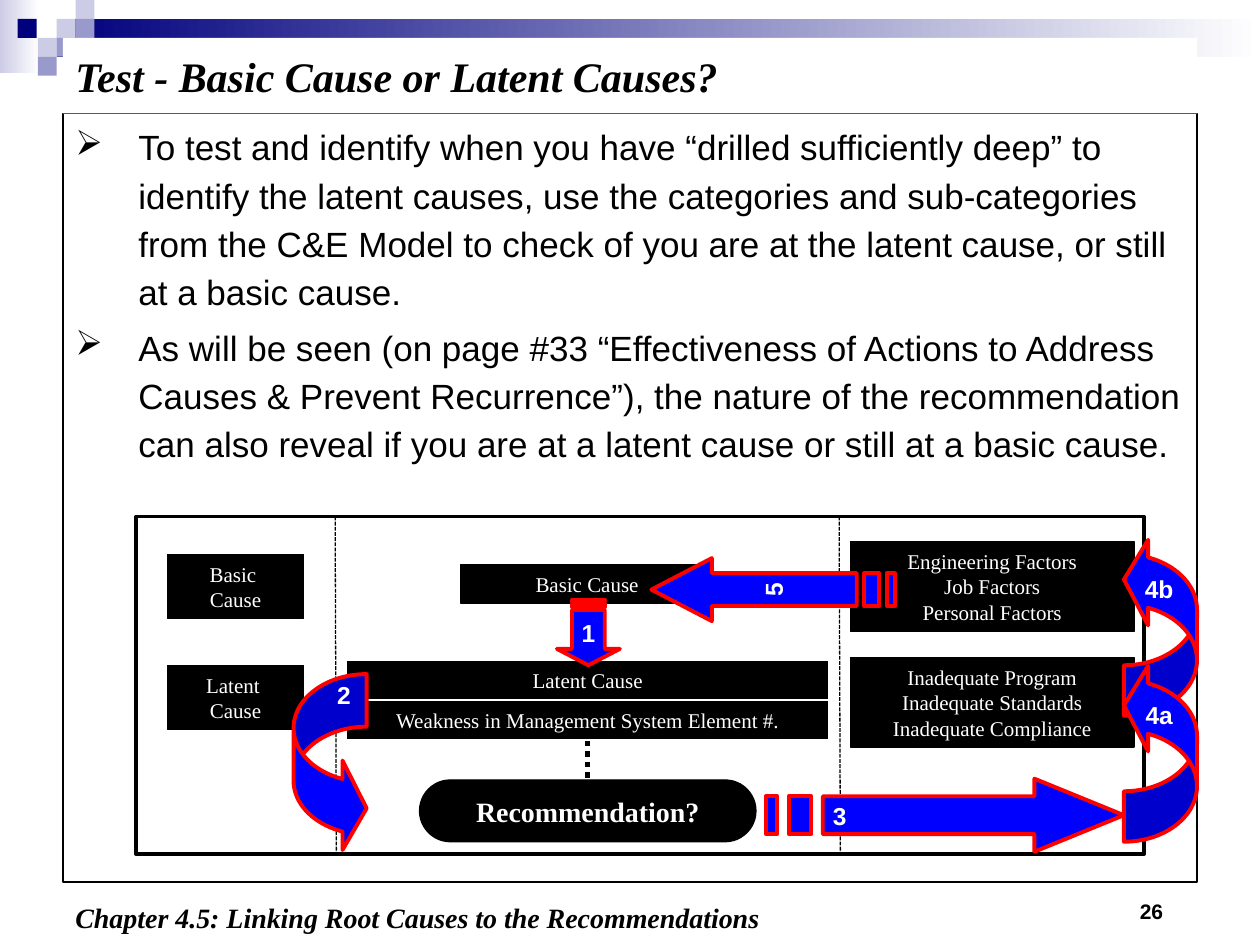
from lxml import etree
from pptx import Presentation
from pptx import util as u
from pptx.dml.color import RGBColor
from pptx.enum import dml, shapes, text
from pptx.oxml import ns

HUES = {"black": "000000", "white": "FFFFFF", "navy": "00007D", "mist": "CCCCE6",
        "mauve": "9999CC", "blue": "0000FF", "red": "FF0000"}
SERIF, SANS = "Times New Roman", "Arial"
KIND = shapes.MSO_SHAPE
SIDE = text.PP_ALIGN
HOLD = text.MSO_ANCHOR
DASH = dml.MSO_LINE


def hue(name):
    return RGBColor.from_string(HUES[name])


class Page:
    """Holds the slide and the look shared by its elements."""

    def __init__(self, slide):
        self.items = slide.shapes

    def paint(self, item, fill, line=None, width=0.75):
        item.shadow.inherit = False
        item.fill.solid()
        item.fill.fore_color.rgb = hue(fill)
        if line:
            item.line.color.rgb = hue(line)
            item.line.width = u.Pt(width)
        else:
            item.line.fill.background()

    def shape(self, at, fill, line=None, width=0.75, kind=KIND.RECTANGLE):
        item = self.items.add_shape(kind, *map(u.Inches, at))
        self.paint(item, fill, line, width)
        return item

    def fade(self, at, start):
        """Add a bar that fades to white from left to right."""
        item = self.shape(at, start)
        item.fill.gradient()
        item.fill.gradient_angle = 0
        for stop, name in zip(item.fill.gradient_stops, (start, "white")):
            stop.color.rgb = hue(name)

    def letter(self, item, words, size, font=SERIF, color="white", side=SIDE.CENTER,
               hold=HOLD.MIDDLE, bold=False, slant=False, wrap=True, pad=None):
        """Set and format the text of an item."""
        frame = item.text_frame
        frame.text = words
        frame.word_wrap = wrap
        frame.vertical_anchor = hold
        if pad:
            (frame.margin_left, frame.margin_top,
             frame.margin_right, frame.margin_bottom) = map(u.Inches, pad)
        for para in frame.paragraphs:
            para.alignment = side
            for run in para.runs:
                face = run.font
                face.name, face.size = font, u.Pt(size)
                face.bold, face.italic = bold, slant
                face.color.rgb = hue(color)
        return frame

    def box(self, at, words, line="black"):
        self.letter(self.shape(at, "black", line), words, 12)

    def label(self, at, words, size, **look):
        self.letter(self.items.add_textbox(*map(u.Inches, at)), words, size, **look)

    def mark(self, item, words, pad=(0, 0, 0, 0), **look):
        """Put the step number on an arrow."""
        self.letter(item, words, 14, font=SANS, bold=True, wrap=False, pad=pad, **look)
        return item

    def line(self, start, end, width, dash=None):
        item = self.items.add_connector(shapes.MSO_CONNECTOR.STRAIGHT,
                                        *map(u.Inches, start + end))
        item.line.color.rgb = hue("black")
        item.line.width = u.Pt(width)
        if dash:
            item.line.dash_style = dash
        etree.SubElement(item._element.spPr, ns.qn("a:effectLst"))

    def arrow(self, tip, back, head, wing, shaft, tail, bars):
        """Draw a striped arrow; lengths run from the tip along the back vector."""
        def spot(run, off):
            return (u.Inches(tip[0] + back[0] * run + back[1] * off),
                    u.Inches(tip[1] + back[1] * run + back[0] * off))

        parts = [[(0, 0), (head, wing), (head, shaft), (tail, shaft),
                  (tail, -shaft), (head, -shaft), (head, -wing)]]
        parts += [[(a, shaft), (b, shaft), (b, -shaft), (a, -shaft)] for a, b in bars]
        pen = self.items.build_freeform(*spot(0, 0))
        for part in parts:
            dots = [spot(*dot) for dot in part]
            if part is not parts[0]:
                pen.move_to(*dots[0])
            pen.add_line_segments(dots[1:], close=True)
        item = pen.convert_to_shape()
        self.paint(item, "blue", "red", 2.25)
        return item

    def curve(self, at, bends, turn=0):
        item = self.shape(at, "blue", "red", 2.25, KIND.CURVED_RIGHT_ARROW)
        for i, bend in enumerate(bends):
            item.adjustments[i] = bend
        item.rotation = turn
        return item

    def bullets(self, frame):
        for para in frame.paragraphs:
            para.line_spacing = 1.15
            para.space_before = u.Pt(4)
            props = para._p.get_or_add_pPr()
            props.set("marL", str(u.Inches(0.5)))
            props.set("indent", str(-u.Inches(0.5)))
            etree.SubElement(props, ns.qn("a:buChar")).set("char", "➢")


def main():
    deck = Presentation()
    deck.slide_width, deck.slide_height = u.Inches(10), u.Inches(7.5)
    page = Page(deck.slides.add_slide(deck.slide_layouts[6]))

    page.fade((0, 0, 0.31, 0.58), "mist")
    page.fade((0.45, 0.15, 9.55, 0.3), "navy")
    for x, y, name in [(0.45, 0.15, "mist"), (0.6, 0, "mist"), (0.6, 0.15, "mauve"),
                       (0.3, 0.3, "mist"), (0.14, 0.15, "navy"), (0.45, 0.3, "mauve"),
                       (0.3, 0.45, "mauve")]:
        page.shape((x, y, 0.15, 0.15), name)

    body = page.shape((0.5, 0.9, 9, 6.1), "white", "black")
    page.bullets(page.letter(
        body,
        "To test and identify when you have “drilled sufficiently deep” to identify the "
        "latent causes, use the categories and sub-categories from the C&E Model to check "
        "of you are at the latent cause, or still at a basic cause.\n"
        "As will be seen (on page #33 “Effectiveness of Actions to Address Causes & Prevent "
        "Recurrence”), the nature of the recommendation can also reveal if you are at a "
        "latent cause or still at a basic cause.",
        20, font=SANS, color="black", side=SIDE.LEFT, hold=HOLD.TOP))

    page.shape((1.08, 4.1, 8, 2.68), "white", "black", 2)
    page.box((3.66, 4.48, 2, 0.31), "Basic Cause")
    page.box((2.75, 5.24, 3.83, 0.31), "Latent Cause", "white")
    page.box((2.75, 5.56, 3.83, 0.31), "Weakness in Management System Element #.", "white")
    page.box((6.75, 4.3, 2.25, 0.71), "Engineering Factors\vJob Factors\vPersonal Factors")
    page.box((1.33, 4.4, 1.08, 0.51), "Basic \vCause")
    page.box((1.33, 5.28, 1.08, 0.51), "Latent \vCause")
    page.box((6.75, 5.22, 2.25, 0.71),
             "Inadequate Program\vInadequate Standards\vInadequate Compliance")
    page.line((4.66, 4.79), (4.66, 5.24), 3)
    page.line((4.66, 5.88), (4.66, 6.19), 3, DASH.ROUND_DOT)
    pill = page.shape((3.33, 6.19, 2.67, 0.49), "black", "black",
                      kind=KIND.ROUNDED_RECTANGLE)
    pill.adjustments[0] = 0.5
    page.letter(pill, "Recommendation?", 16, bold=True)
    for x in (2.66, 6.66):
        page.line((x, 4.1), (x + 0.01, 6.78), 0.75, DASH.SQUARE_DOT)

    page.mark(page.curve((2.33, 5.35, 0.58, 1.42), (0.72, 1.23, 0.33)), "2",
              pad=(0.22, 0.05, 0, 0), hold=HOLD.TOP)
    page.mark(page.arrow((8.92, 6.47), (-1, 0), 0.71, 0.29, 0.15, 2.39,
                         [(2.48, 2.66), (2.75, 2.84)]),
              "3", pad=(0.53, 0, 0, 0), side=SIDE.LEFT)
    for y, words in ((4.26, "4b"), (5.26, "4a")):
        page.curve((8.92, y, 0.58, 1.42), (0.69, 1.17, 0.33), 180)
        page.mark(page.items.add_textbox(*map(u.Inches, (8.95, y + 0.28, 0.5, 0.26))), words)
    five = page.mark(page.arrow((5.17, 4.68), (1, 0), 0.48, 0.25, 0.13, 1.63,
                                [(1.69, 1.81), (1.87, 1.93)]), "5")
    five.text_frame._txBody.bodyPr.set("vert", "vert270")
    page.mark(page.arrow((4.67, 5.28), (0, -1), 0.13, 0.25, 0.13, 0.44,
                         [(0.46, 0.49), (0.51, 0.52)]), "1")

    page.label((8.33, 7.08, 1, 0.25), "26", 12, font=SANS, color="black",
               side=SIDE.RIGHT, hold=HOLD.TOP, bold=True)
    look = {"color": "black", "side": SIDE.LEFT, "bold": True, "slant": True}
    page.letter(page.shape((0.5, 0.3, 9, 0.6), "white"),
                "Test - Basic Cause or Latent Causes?", 24, **look)
    page.label((0.5, 7.1, 6.7, 0.4),
               "Chapter 4.5: Linking Root Causes to the Recommendations", 16,
               hold=HOLD.TOP, **look)
    deck.save("out.pptx")


if __name__ == "__main__":
    main()
